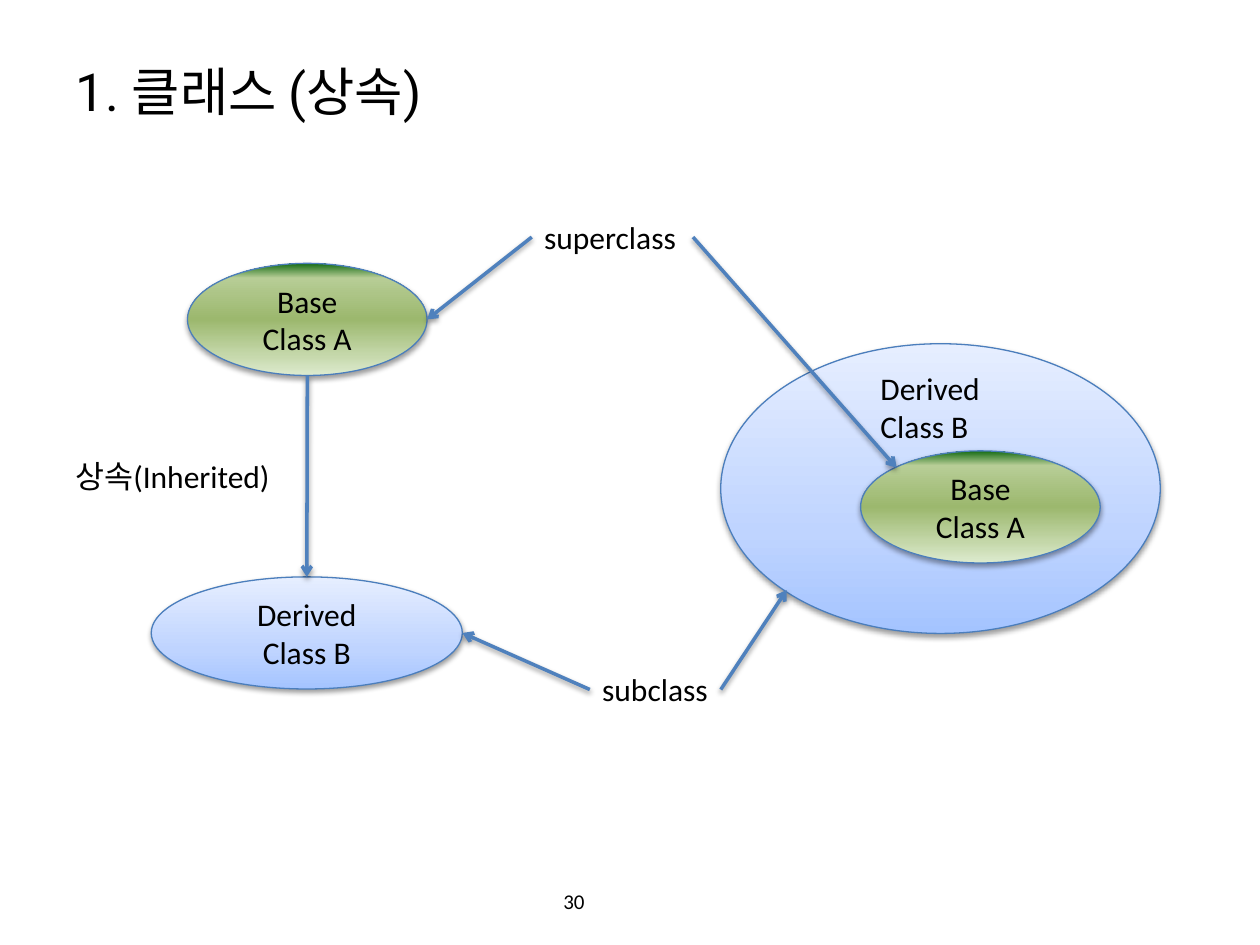
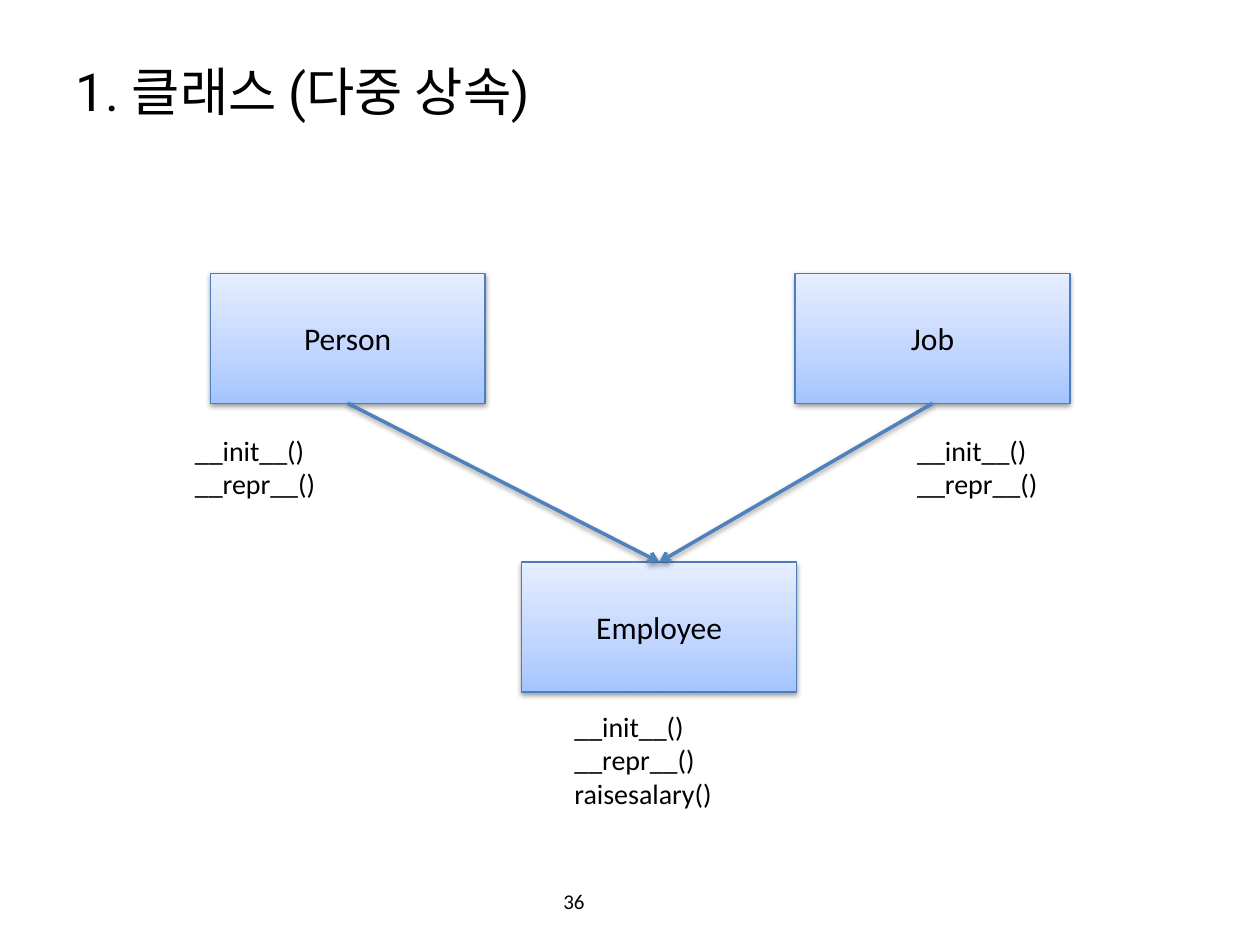
import pptx
import pptx.dml.color
import pptx.enum.shapes
import pptx.enum.text
import pptx.oxml
import pptx.oxml.ns
import pptx.util
from pptx.util import Cm

# Shared look
TEXT = "000000"
OUTLINE = "4B7EBC"
ARROW = "4F81BD"
GREEN = [(0, "DDEBCF"), (19, "C4D7A9"), (50, "9CB86E"), (87, "B7CD96"), (100, "156B13")]
BLUE = [(0, "A4C4FF"), (35, "BFD4FF"), (100, "E6EEFF")]
TITLE_FONT = {"name": "Roboto", "size": pptx.util.Pt(30)}
BODY_FONT = {"name": "Calibri", "size": pptx.util.Pt(18)}
METHOD_FONT = {"name": "Calibri", "size": pptx.util.Pt(16)}
NUMBER_FONT = {"name": "Calibri", "size": pptx.util.Pt(12)}

OVAL = pptx.enum.shapes.MSO_SHAPE.OVAL
RECTANGLE = pptx.enum.shapes.MSO_SHAPE.RECTANGLE
LEFT_ALIGN = pptx.enum.text.PP_ALIGN.LEFT
CENTER = pptx.enum.text.PP_ALIGN.CENTER
TOP_ANCHOR = pptx.enum.text.MSO_ANCHOR.TOP
MIDDLE_ANCHOR = pptx.enum.text.MSO_ANCHOR.MIDDLE
FIXED = pptx.enum.text.MSO_AUTO_SIZE.NONE
GROW = pptx.enum.text.MSO_AUTO_SIZE.SHAPE_TO_FIT_TEXT

# Connection sites as fractions of a shape's width and height
TOP, BOTTOM, LEFT, RIGHT = (0.5, 0), (0.5, 1), (0, 0.5), (1, 0.5)
OVAL_TOP_LEFT, OVAL_BOTTOM_LEFT = (0.15, 0.15), (0.15, 0.85)

BASE_SIZE = (4.83, 2.26)
CLASS_BOX_SIZE = (5.54, 2.62)
METHODS_WIDTH = 3.89


def color(hex_value):
    return pptx.dml.color.RGBColor.from_string(hex_value)


def element(xml):
    namespace = pptx.oxml.ns.nsdecls("a")
    return pptx.oxml.parse_xml(xml.replace(">", f" {namespace}>", 1))


def write(shape, text, font, align=LEFT_ALIGN, anchor=MIDDLE_ANCHOR, auto_size=FIXED):
    frame = shape.text_frame
    frame.text = text
    frame_format = {"word_wrap": True, "vertical_anchor": anchor, "auto_size": auto_size}
    for name, value in frame_format.items():
        setattr(frame, name, value)
    for paragraph in frame.paragraphs:
        paragraph.alignment = align
        for run in paragraph.runs:
            for name, value in font.items():
                setattr(run.font, name, value)
            run.font.color.rgb = color(TEXT)


def set_line(shape, line_color, width):
    shape.line.color.rgb = color(line_color)
    shape.line.width = pptx.util.Pt(width)


def add_shadow(shape):
    blur, distance = pptx.util.Pt(3.1), pptx.util.Pt(1.6)
    shape._element.spPr.append(element(
        f'<a:effectLst><a:outerShdw blurRad="{blur}" dist="{distance}" dir="5400000" '
        'rotWithShape="0"><a:srgbClr val="000000"><a:alpha val="38000"/></a:srgbClr>'
        '</a:outerShdw></a:effectLst>'))


def set_gradient(shape, stops):
    """Fill the shape from bottom to top with any number of stops."""
    shape.fill.gradient()
    shape.fill.gradient_angle = 90
    gradient = shape._element.spPr.find(pptx.oxml.ns.qn("a:gradFill"))
    stop_list = "".join(
        f'<a:gs pos="{position * 1000}"><a:srgbClr val="{value}"/></a:gs>'
        for position, value in stops)
    gradient.replace(gradient.find(pptx.oxml.ns.qn("a:gsLst")),
                     element(f"<a:gsLst>{stop_list}</a:gsLst>"))


def add_node(slide, kind, left, top, size, stops, text=""):
    shape = slide.shapes.add_shape(kind, Cm(left), Cm(top), *map(Cm, size))
    set_gradient(shape, stops)
    set_line(shape, OUTLINE, 0.75)
    add_shadow(shape)
    if text:
        write(shape, text, BODY_FONT, CENTER)
    return shape


def add_label(slide, left, top, width, height, text, font=BODY_FONT):
    label = slide.shapes.add_textbox(Cm(left), Cm(top), Cm(width), Cm(height))
    write(label, text, font, anchor=TOP_ANCHOR, auto_size=GROW)
    return label


def site_point(shape, site):
    across, down = site
    return (round(shape.left + across * shape.width),
            round(shape.top + down * shape.height))


def add_arrow(slide, source, source_site, target, target_site):
    arrow = slide.shapes.add_connector(
        pptx.enum.shapes.MSO_CONNECTOR.STRAIGHT,
        *site_point(source, source_site), *site_point(target, target_site))
    set_line(arrow, ARROW, 2)
    line = arrow._element.spPr.find(pptx.oxml.ns.qn("a:ln"))
    line.append(element('<a:tailEnd type="arrow"></a:tailEnd>'))
    add_shadow(arrow)


def add_slide(presentation, title_text, number):
    slide = presentation.slides.add_slide(presentation.slide_layouts[5])
    title = slide.shapes.title
    place = {"left": 1.27, "top": 0.76, "width": 22.86, "height": 2.13}
    for name, value in place.items():
        setattr(title, name, Cm(value))
    write(title, title_text, TITLE_FONT)
    page = slide.shapes.add_textbox(Cm(8.61), Cm(17.65), Cm(5.92), Cm(1.02))
    write(page, str(number), NUMBER_FONT, CENTER)
    return slide


def build_inheritance(presentation):
    slide = add_slide(presentation, "1. 클래스 (상속)", 30)

    # Classes, side by side and nested
    base = add_node(slide, OVAL, 3.78, 5.31, BASE_SIZE, GREEN, "Base\nClass A")
    derived = add_node(slide, OVAL, 3.05, 11.63, (6.27, 2.26), BLUE, "Derived\nClass B")
    outer = add_node(slide, OVAL, 14.53, 6.93, (8.86, 5.84), BLUE)
    inner = add_node(slide, OVAL, 17.35, 9.09, BASE_SIZE, GREEN, "Base\nClass A")

    # Labels
    add_label(slide, 17.5, 7.32, 2.95, 1.8, "Derived\nClass B")
    add_label(slide, 1.27, 9.09, 4.6, 1.02, "상속(Inherited)")
    subclass = add_label(slide, 11.89, 13.39, 2.64, 1.02, "subclass")
    superclass = add_label(slide, 10.72, 4.27, 3.25, 1.02, "superclass")

    # Arrows
    add_arrow(slide, base, BOTTOM, derived, TOP)
    add_arrow(slide, superclass, LEFT, base, RIGHT)
    add_arrow(slide, superclass, RIGHT, inner, OVAL_TOP_LEFT)
    add_arrow(slide, subclass, RIGHT, outer, OVAL_BOTTOM_LEFT)
    add_arrow(slide, subclass, LEFT, derived, RIGHT)


def build_multiple_inheritance(presentation):
    slide = add_slide(presentation, "1. 클래스 (다중 상속)", 36)

    # Parents and child
    person = add_node(slide, RECTANGLE, 4.24, 5.51, CLASS_BOX_SIZE, BLUE, "Person")
    job = add_node(slide, RECTANGLE, 16.03, 5.51, CLASS_BOX_SIZE, BLUE, "Job")
    employee = add_node(slide, RECTANGLE, 10.52, 11.33, CLASS_BOX_SIZE, BLUE, "Employee")
    for parent in (person, job):
        add_arrow(slide, parent, BOTTOM, employee, TOP)

    # Methods of each class
    shared_methods = "__init__()\n__repr__()"
    for left in (3.68, 18.24):
        add_label(slide, left, 8.61, METHODS_WIDTH, 1.63, shared_methods, METHOD_FONT)
    add_label(slide, 11.33, 14.17, METHODS_WIDTH, 2.31,
              shared_methods + "\nraisesalary()", METHOD_FONT)


def main():
    presentation = pptx.Presentation()
    presentation.slide_width = Cm(25.4)
    presentation.slide_height = Cm(19.05)
    build_inheritance(presentation)
    build_multiple_inheritance(presentation)
    presentation.save("out.pptx")


if __name__ == "__main__":
    main()
